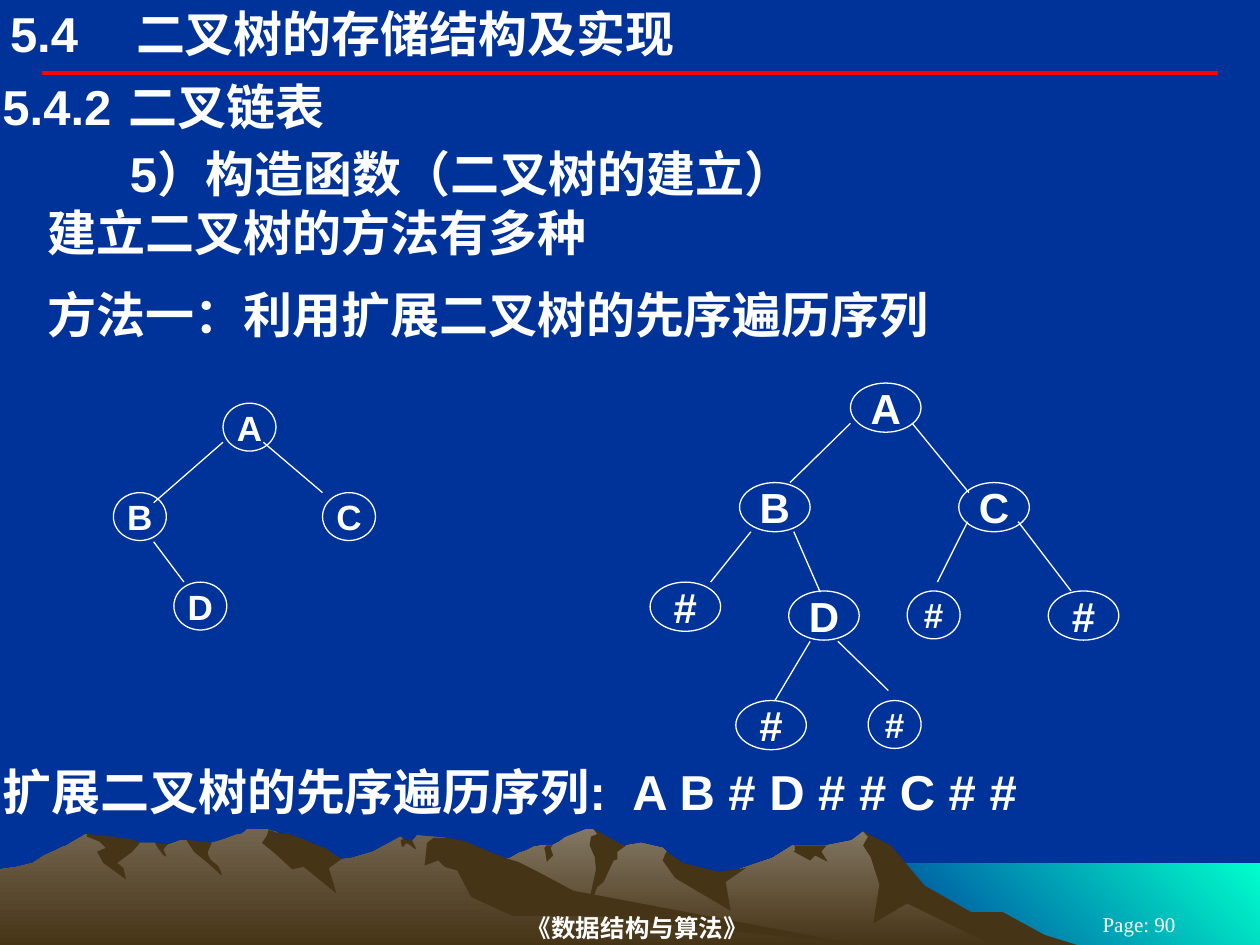
from lxml.etree import SubElement
from pptx import Presentation
from pptx.dml.color import RGBColor
from pptx.enum.shapes import MSO_CONNECTOR as Connector, MSO_SHAPE as Shape
from pptx.enum.text import MSO_ANCHOR as Anchor, MSO_AUTO_SIZE as AutoSize, PP_ALIGN as Align
from pptx.oxml.ns import qn
from pptx.util import Inches, Pt

SLIDE_WIDTH, SLIDE_HEIGHT = Inches(10), Inches(7.5)
COLUMNS = 1000
UNIT = SLIDE_WIDTH // COLUMNS

WHITE, RED, NAVY, AQUA = "FFFFFF", "FF0000", "003399", "00FFCC"
SHADE, SLOPE, RANGE = "463416", "837763", "72644E"

HEADING = {"name": "Arial", "size": Pt(28), "bold": True}
WIDE_LABEL = {"name": "Arial", "size": Pt(24), "bold": True}
SMALL_LABEL = {"name": "Arial", "size": Pt(20), "bold": True}
COURSE = {"name": "Times New Roman", "size": Pt(14), "bold": True}
PAGE = {"name": "Times New Roman", "size": Pt(12), "bold": False}

WIDE, SMALL = (56, 39, WIDE_LABEL), (42, 38, SMALL_LABEL)

RIGHT_SLOPE = """802,82 778,69 764,65 723,40 702,13 685,2 676,9 656,13 629,13 613,23 566,39
536,32 529,18 526,15 509,11 497,13 486,15 474,3 471,0 465,0 450,6 448,7 444,10 438,13 433,13
430,13 424,14 418,17 412,19 405,23 399,25 395,26 394,27 355,40 327,51 277,81 258,93 821,93"""
RIGHT_SHADOWS = [
    """796,66 771,66 734,45 707,13 685,2 689,6 685,13 691,22 698,44 693,75 720,59 792,94
    858,93 829,84""",
    """471,0 474,4 469,6 468,13 472,22 473,32 465,69 474,46 479,42 487,25 490,24 490,18
    497,13 493,12""",
    "529,18 528,20 526,25 536,39 580,65 576,42 592,31 570,34 542,27",
    "650,13 630,13 631,14 631,17 630,18 643,25 647,21 657,26 652,18 656,13",
    "433,19 432,15 434,13 438,13 439,12 437,15 439,21 434,26",
]
LEFT_RANGE = """690,93 667,90 432,54 354,7 331,5 327,10 323,10 318,6 296,18 279,23 271,24
260,18 236,23 223,5 222,4 219,2 215,1 212,0 196,0 194,2 191,4 189,4 186,5 178,8 168,11 160,13
148,9 143,9 132,13 128,13 123,11 111,11 94,13 68,4 56,11 53,13 50,14 46,16 35,21 26,27
14,30 0,32 0,93"""
LEFT_SHADOWS = [
    """212,5 208,11 219,20 232,32 241,30 267,51 261,31 271,24 270,23 266,21 260,16 252,13
    245,10 238,7 232,5 230,4 224,4 220,3 215,1 213,1""",
    """370,10 361,8 354,7 344,7 339,11 337,29 348,25 353,30 363,33 374,54 407,69 472,69
    690,93 683,92 455,49 427,34 411,26 401,23 386,17""",
    """318,9 320,8 318,6 323,9 327,9 328,11 329,13 330,15 330,16 328,15 326,13 322,11
    322,12 320,14 319,14""",
    """154,9 157,10 161,10 168,11 165,18 165,20 167,24 169,26 173,29 175,33 176,36 176,37
    165,27 154,18 148,9""",
    "133,12 130,16 130,17 132,21 132,22 129,20 127,17 126,16 123,11",
    """109,10 111,11 105,18 93,27 98,31 100,40 82,27 77,18 84,15 79,10 69,6 69,4 71,4
    77,5 84,5 86,6 90,6 94,7 104,8""",
]


def colour(value):
    return RGBColor.from_string(value)


def assign(target, values):
    for key, value in values.items():
        setattr(target, key, value)


def style_font(paragraph, text_format):
    assign(paragraph.font, text_format)
    paragraph.font.color.rgb = colour(WHITE)


def draw_outline(slide, box, outline, fill_colours, angle=270):
    left, top = box
    points = [
        (left + int(x), top + int(y))
        for x, y in (pair.split(",") for pair in outline.split())
    ]
    builder = slide.shapes.build_freeform(*points[0], scale=UNIT)
    builder.add_line_segments(points[1:], close=True)
    land = builder.convert_to_shape()
    land.shadow.inherit = False
    land.line.fill.background()
    if len(fill_colours) == 1:
        land.fill.solid()
        land.fill.fore_color.rgb = colour(fill_colours[0])
        return
    land.fill.gradient()
    land.fill.gradient_angle = angle
    for stop, value in zip(land.fill.gradient_stops, fill_colours):
        stop.color.rgb = colour(value)


def draw_line(slide, box, ends, line_colour, width):
    left, top = box
    x1, y1, x2, y2 = ends
    line = slide.shapes.add_connector(
        Connector.STRAIGHT,
        (left + x1) * UNIT, (top + y1) * UNIT, (left + x2) * UNIT, (top + y2) * UNIT)
    line.line.color.rgb = colour(line_colour)
    line.line.width = Pt(width)
    SubElement(line._element.spPr, qn("a:effectLst"))


def draw_landscape(slide, box):
    left, top = box
    draw_outline(slide, (left + 683, top + 27), "317,67 0,67 0,0 317,0", [AQUA, NAVY], 225)
    for ridge, ridge_colour, shadows in (
        (RIGHT_SLOPE, SLOPE, RIGHT_SHADOWS),
        (LEFT_RANGE, RANGE, LEFT_SHADOWS),
    ):
        draw_outline(slide, box, ridge, [ridge_colour, SHADE])
        for shadow in shadows:
            draw_outline(slide, box, shadow, [SHADE])


def write_lines(slide, box, lines, margins=(2, 1), tab=None):
    area = slide.shapes.add_textbox(*(value * UNIT for value in box))
    frame = area.text_frame
    side, edge = (value * UNIT for value in margins)
    assign(frame, {
        "word_wrap": True, "auto_size": AutoSize.SHAPE_TO_FIT_TEXT,
        "margin_left": side, "margin_right": side,
        "margin_top": edge, "margin_bottom": edge,
    })
    for index, (text, indent) in enumerate(lines):
        paragraph = frame.paragraphs[0] if index == 0 else frame.add_paragraph()
        properties = paragraph._p.get_or_add_pPr()
        properties.set("marL", str(indent * UNIT))
        properties.set("indent", "0")
        if tab:
            stops = SubElement(properties, qn("a:tabLst"))
            SubElement(stops, qn("a:tab"), pos=str(tab * UNIT), algn="l")
        paragraph.add_run().text = text
        style_font(paragraph, HEADING)


def write_footer(slide, box, text, text_format):
    frame = slide.shapes.add_textbox(*(value * UNIT for value in box)).text_frame
    assign(frame, {
        "word_wrap": True, "vertical_anchor": Anchor.MIDDLE,
        "margin_top": UNIT, "margin_bottom": UNIT,
    })
    paragraph = frame.paragraphs[0]
    paragraph.text = text
    paragraph.alignment = Align.CENTER
    style_font(paragraph, text_format)


def draw_tree(slide, box, nodes, branches):
    left, top = box
    for label, x, y, (width, height, text_format) in nodes:
        node = slide.shapes.add_shape(
            Shape.OVAL, (left + x) * UNIT, (top + y) * UNIT, width * UNIT, height * UNIT)
        node.shadow.inherit = False
        node.fill.background()
        node.line.color.rgb = colour(WHITE)
        node.line.width = Pt(0.75)
        assign(node.text_frame, {"word_wrap": False, "vertical_anchor": Anchor.MIDDLE})
        paragraph = node.text_frame.paragraphs[0]
        paragraph.text = label
        paragraph.alignment = Align.CENTER
        style_font(paragraph, text_format)
    for ends in branches:
        draw_line(slide, box, ends, WHITE, 0.75)


def main():
    presentation = Presentation()
    assign(presentation, {"slide_width": SLIDE_WIDTH, "slide_height": SLIDE_HEIGHT})
    slide = presentation.slides.add_slide(presentation.slide_layouts[6])
    slide.background.fill.solid()
    slide.background.fill.fore_color.rgb = colour(NAVY)

    draw_landscape(slide, (0, 658))
    draw_line(slide, (33, 58), (0, 0, 934, 0), RED, 2.25)
    write_footer(slide, (203, 722, 606, 28), "《数据结构与算法》", COURSE)
    write_footer(slide, (825, 725, 158, 17), "Page: 90", PAGE)

    write_lines(slide, (8, 3, 650, 47), [("5.4\t二叉树的存储结构及实现", 0)], (0, 0), 86)
    write_lines(slide, (0, 60, 1000, 49), [("5.4.2\t二叉链表", 0)], tab=129)
    write_lines(slide, (4, 113, 996, 96),
                [("5）构造函数（二叉树的建立）", 97), ("建立二叉树的方法有多种", 32)])
    write_lines(slide, (4, 225, 996, 49), [("方法一：利用扩展二叉树的先序遍历序列", 32)])

    draw_tree(slide, (516, 304), [
        ("A", 159, 0, WIDE), ("B", 71, 79, WIDE), ("C", 245, 79, WIDE),
        ("#", 0, 158, WIDE), ("D", 110, 165, WIDE), ("#", 316, 165, WIDE),
        ("#", 68, 252, WIDE), ("#", 173, 252, SMALL), ("#", 204, 165, SMALL),
    ], [
        (80, 118, 48, 158), (159, 32, 111, 79), (127, 205, 99, 252), (292, 110, 334, 165),
        (208, 32, 253, 87), (114, 118, 135, 166), (149, 205, 189, 244), (252, 110, 228, 158),
    ])
    draw_tree(slide, (90, 320), [
        ("A", 87, 0, SMALL), ("B", 0, 71, SMALL), ("C", 166, 71, SMALL), ("D", 48, 142, SMALL),
    ], [(87, 31, 32, 79), (119, 31, 166, 71), (32, 110, 56, 142)])

    write_lines(slide, (0, 603, 996, 49),
                [("扩展二叉树的先序遍历序列:\tA B # D # # C # #", 0)], tab=522)
    presentation.save("out.pptx")


if __name__ == "__main__":
    main()
